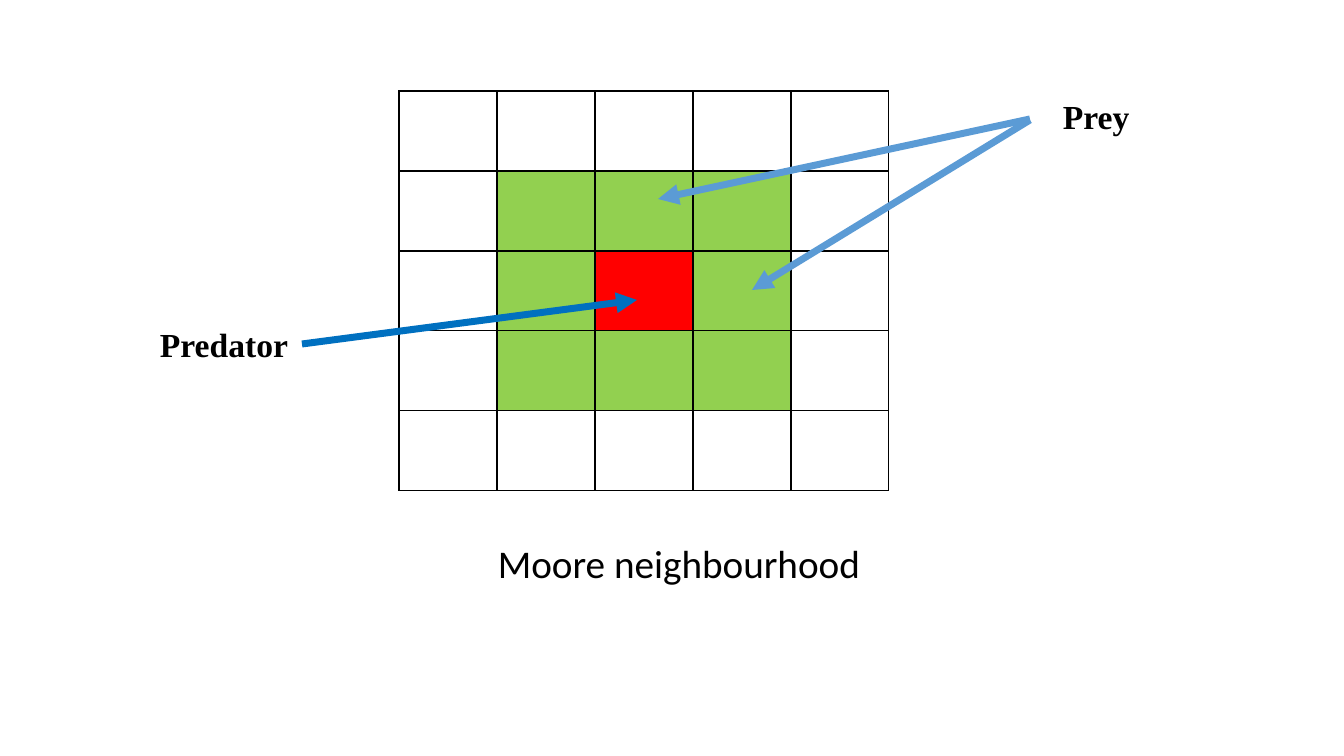
"""Builds a slide that shows a Moore neighbourhood of prey around a predator."""
from lxml.etree import SubElement
from pptx import Presentation
from pptx.dml.color import RGBColor
from pptx.enum.shapes import MSO_CONNECTOR as Connector
from pptx.enum.text import MSO_AUTO_SIZE as AutoSize
from pptx.oxml.ns import qn
from pptx.util import Pt

EMU_PER_PX = 914400 / 100.8
SLIDE_SIZE = (1344, 756)

GRID = [
    ".....",
    ".ggg.",
    ".grg.",
    ".ggg.",
    ".....",
]
CELL_FILLS = {"g": "92D050", "r": "FF0000"}
GRID_ORIGIN = (399, 91)
CELL_SIZE = (98, 80)

LABEL_STYLE = {"size": 24, "font": "Times New Roman", "bold": True}
PREDATOR = ("Predator", (150, 319, 152, 50))
PREY = ("Prey", (1053, 91, 94, 50))
CAPTION = ("Moore neighbourhood", (488, 534, 386, 58))

PREDATOR_ARROW = ((302, 344), (637, 300), "0070C0")
PREY_ARROWS = [
    ((1030, 120), (752, 290), "5B9BD5"),
    ((1030, 119), (658, 199), "5B9BD5"),
]


def px(*lengths):
    return [round(length * EMU_PER_PX) for length in lengths]


def color(value):
    return RGBColor.from_string(value)


def add_text(page, text, place, size=28, font="Calibri", bold=False, wrap=True):
    box = page.shapes.add_textbox(*px(*place))
    frame = box.text_frame
    frame.word_wrap = wrap
    frame.auto_size = AutoSize.SHAPE_TO_FIT_TEXT
    span = frame.paragraphs[0].add_run()
    span.text = text
    span.font.size = Pt(size)
    span.font.name = font
    span.font.bold = bold
    span.font.color.rgb = color("000000")
    return box


def add_arrow(page, start, end, line_color):
    arrow = page.shapes.add_connector(Connector.STRAIGHT, *px(*start, *end))
    arrow.line.color.rgb = color(line_color)
    arrow.line.width = Pt(5)
    SubElement(arrow.line._get_or_add_ln(), qn("a:tailEnd"), type="triangle")
    SubElement(arrow._element.spPr, qn("a:effectLst"))
    return arrow


def add_borders(cell):
    properties = cell._tc.get_or_add_tcPr()
    for side in ("lnL", "lnR", "lnT", "lnB"):
        border = SubElement(properties, qn(f"a:{side}"), w=str(Pt(1)))
        fill = SubElement(border, qn("a:solidFill"))
        SubElement(fill, qn("a:srgbClr"), val="000000")


def add_grid(page):
    rows, columns = len(GRID), len(GRID[0])
    width, height = CELL_SIZE
    place = px(*GRID_ORIGIN, columns * width, rows * height)
    table = page.shapes.add_table(rows, columns, *place).table
    table.first_row = False
    table.horz_banding = False
    for column in table.columns:
        column.width = px(width)[0]
    for row, marks in zip(table.rows, GRID):
        row.height = px(height)[0]
        for cell, mark in zip(row.cells, marks):
            add_borders(cell)
            if mark in CELL_FILLS:
                cell.fill.solid()
                cell.fill.fore_color.rgb = color(CELL_FILLS[mark])
            else:
                cell.fill.background()


def main():
    deck = Presentation()
    deck.slide_width, deck.slide_height = px(*SLIDE_SIZE)
    page = deck.slides.add_slide(deck.slide_layouts[6])
    add_grid(page)
    predator = add_text(page, *PREDATOR, **LABEL_STYLE)
    add_arrow(page, *PREDATOR_ARROW).begin_connect(predator, 3)
    for arrow in PREY_ARROWS:
        add_arrow(page, *arrow)
    add_text(page, *PREY, **LABEL_STYLE)
    add_text(page, *CAPTION, wrap=False)
    deck.save("out.pptx")


if __name__ == "__main__":
    main()
